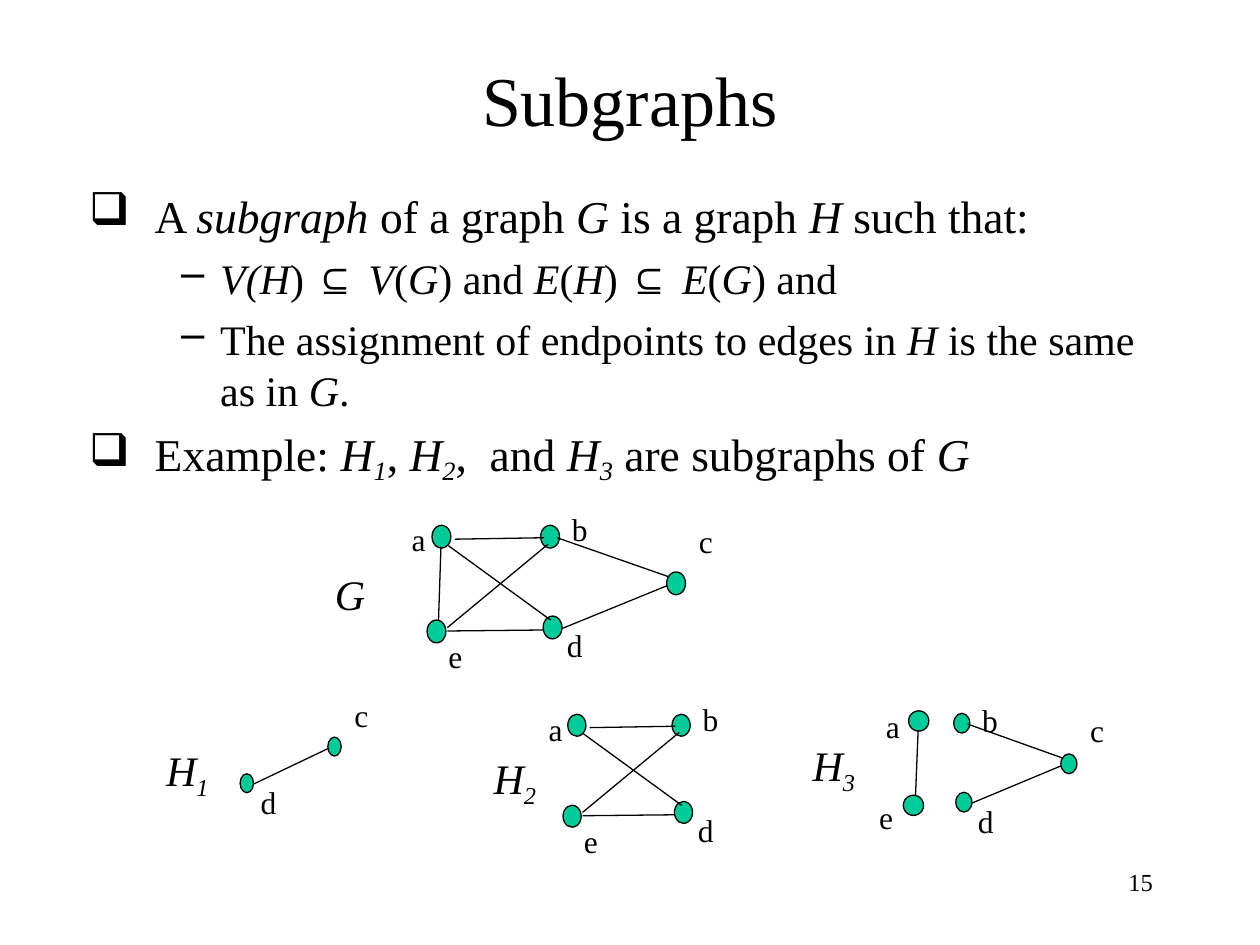
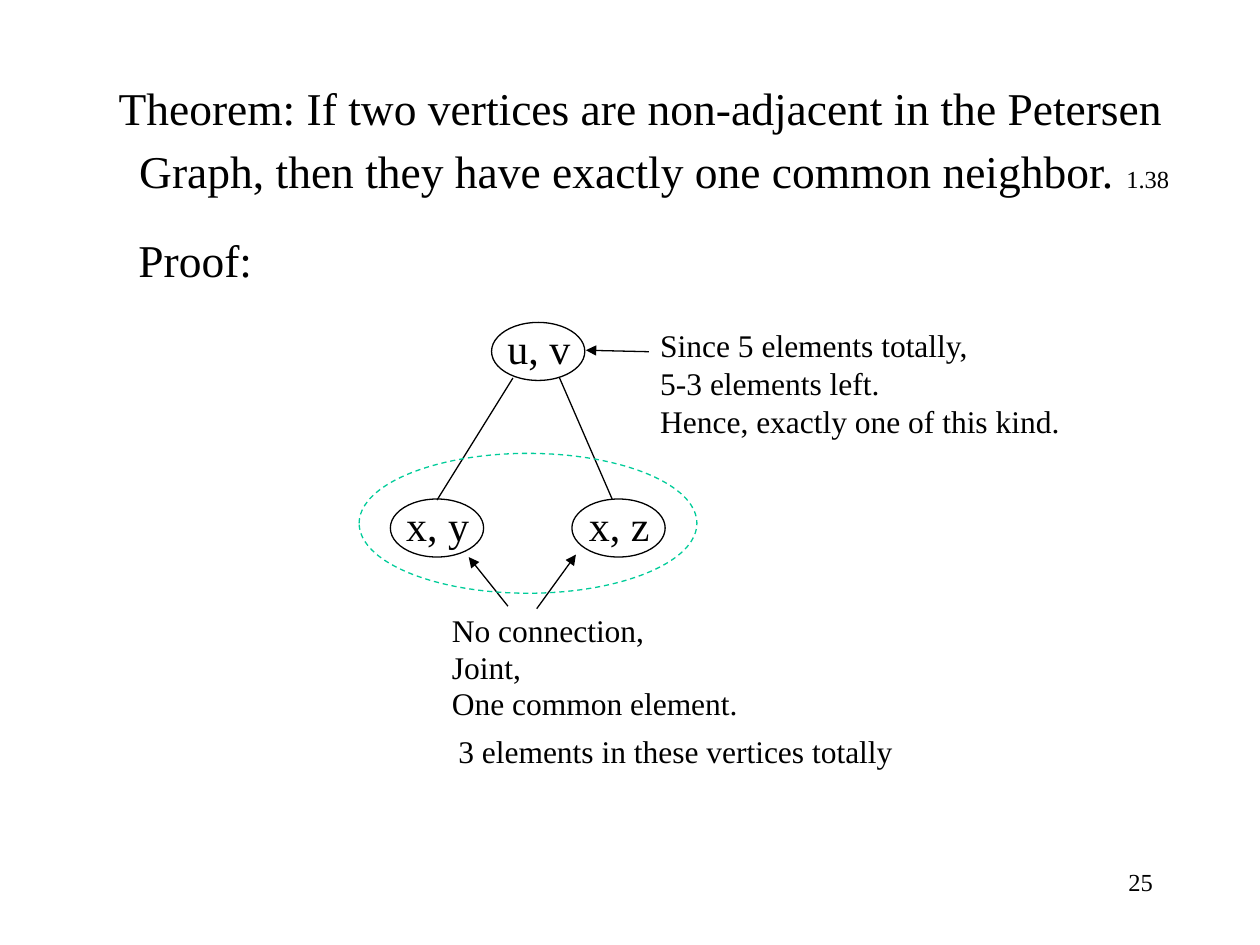
from lxml.etree import SubElement
from pptx import Presentation
from pptx.dml.color import RGBColor
from pptx.enum.dml import MSO_LINE
from pptx.enum.shapes import MSO_CONNECTOR, MSO_SHAPE
from pptx.enum.text import MSO_ANCHOR, PP_ALIGN
from pptx.oxml.ns import qn
from pptx.util import Cm, Pt

FONT, SYMBOL_FONT = "Times New Roman", "Arial"
BLACK, GREEN = "000000", "00CC99"

# Slide 1 text: *...* is italic, an italic digit is a subscript
DEFINITION = [
    (0, "A *subgraph* of a graph *G* is a graph *H* such that:"),
    (1, "*V(H*) **⊆ *V*(*G*) and *E*(*H*) **⊆ *E*(*G*) and"),
    (1, "The assignment of endpoints to edges in *H* is the same as in *G*."),
    (0, "Example: *H**1*, *H**2*,  and *H**3* are subgraphs of *G*"),
]
# Per level: bullet, left margin and hanging indent (cm), size, space before (pt)
LEVELS = [("❑", 1.32, 1.32, 26, 6.5), ("–", 2.64, 0.79, 24, 6)]

# Graph G in cm from its own corner; every subgraph is a scaled part of it
NODE_SIZE = (0.38, 0.46)
NODES = {"a": (0.1, 0), "b": (2.29, 0), "c": (4.83, 0.94),
         "d": (2.34, 1.83), "e": (0, 1.91)}
LABELS = {"a": (-0.56, -0.23), "b": (2.67, -0.43), "c": (5.23, -0.2),
          "d": (2.57, 1.91), "e": (0.18, 2.13)}
EDGES = {
    "ae": ((0.28, 0.43), (0.23, 1.91)),
    "ed": ((0.41, 2.13), (2.34, 2.11)),
    "dc": ((2.72, 2.08), (4.83, 1.22)),
    "bc": ((2.62, 0.25), (4.88, 1.04)),
    "ab": ((0.56, 0.28), (2.36, 0.25)),
    "eb": ((0.41, 2.06), (2.44, 0.38)),
    "ad": ((0.43, 0.41), (2.49, 1.91)),
}
# Nodes, edges, corner, scale, labels that move
GRAPHS = [
    ("cd", ["dc"], (3.18, 14.08), (0.71, 0.83), {}),
    ("abde", ["ab", "eb", "ad", "ed"], (11.35, 14.4), (0.96, 0.96), {}),
    ("abcde", list(EDGES), (8.61, 10.59), (1, 1), {}),
    ("ae", ["ae"], (18.21, 14.33), (1.07, 0.89), {"e": (-0.69, 1.83)}),
    ("bcd", ["dc", "bc"], (17.28, 14.38), (0.85, 0.87), {}),
]
GRAPH_NAMES = [("*H**1*", 3.1, 14.88), ("*G*", 6.5, 11.33),
               ("*H**3*", 16.13, 14.78), ("*H**2*", 9.7, 15.04)]

# Slide 2
THEOREM = [("Theorem: If two vertices are non-adjacent in the Petersen Graph, "
            "then they have exactly one common neighbor. ", 26),
           ("1.38", 14), (" ", 40)]
VERTEX_SIZE = (1.88, 1.17)
VERTICES = [("x, z", 11.53, 10.06), ("x, y", 7.87, 10.06), ("u, v", 9.91, 6.5)]
LINKS = [((10.34, 7.62), (8.81, 10.08)), ((11.28, 7.62), (12.34, 10.06))]
POINTERS = [((10.24, 12.22), (9.45, 11.23)), ((10.82, 12.27), (11.61, 11.18)),
            ((13.08, 7.09), (11.81, 7.06))]
# Lines, place, line spacing, space before
NOTES = [
    (["No connection,", "Joint,", "One common element."],
     (8.86, 12.32, 7.24, 2.36), 0.85, 2.2),
    (["Since 5 elements totally,", "5-3 elements left.",
      "Hence, exactly one of this kind."], (13.06, 6.45, 8.74, 2.54), 1.0, 0),
    (["3 elements in these vertices totally"], (8.99, 14.63, 10.41, 1.02), 1.0, 0),
]


def color(hex_text):
    return RGBColor.from_string(hex_text)


def style(span, size, italic=False, font=FONT):
    span.font.size = Pt(size)
    span.font.name = font
    span.font.italic = italic
    span.font.color.rgb = color(BLACK)


def add_box(shapes, left, top, width, height, anchor=MSO_ANCHOR.TOP):
    box = shapes.add_textbox(Cm(left), Cm(top), Cm(width), Cm(height))
    box.text_frame.word_wrap = True
    box.text_frame.vertical_anchor = anchor
    return box.text_frame


def add_text(shapes, text, place, size, align=PP_ALIGN.LEFT, anchor=MSO_ANCHOR.TOP):
    frame = add_box(shapes, *place, anchor=anchor)
    frame.text = text
    for para in frame.paragraphs:
        para.alignment = align
        style(para.runs[0], size)
    return frame


def add_marked_text(para, text, size, drop):
    for index, piece in enumerate(text.split("*")):
        if not piece:
            continue
        italic = index % 2 == 1
        span = para.add_run()
        span.text = piece
        style(span, size, italic, SYMBOL_FONT if piece.startswith("⊆") else FONT)
        if italic and piece.isdigit():
            span.font._element.set("baseline", str(-drop * 1000))


def set_indent(para, margin, hanging, bullet=None):
    properties = para._p.get_or_add_pPr()
    properties.set("marL", str(Cm(margin)))
    properties.set("indent", str(-Cm(hanging)))
    if bullet:
        paint = SubElement(properties, qn("a:buClr"))
        SubElement(paint, qn("a:srgbClr")).set("val", BLACK)
        SubElement(properties, qn("a:buChar")).set("char", bullet)


def add_oval(shapes, left, top, width, height, fill=None, line=BLACK):
    oval = shapes.add_shape(MSO_SHAPE.OVAL, Cm(left), Cm(top), Cm(width), Cm(height))
    oval.shadow.inherit = False
    if fill:
        oval.fill.solid()
        oval.fill.fore_color.rgb = color(fill)
    else:
        oval.fill.background()
    oval.line.color.rgb = color(line)
    oval.line.width = Pt(0.75)
    return oval


def add_line(shapes, start, end, arrow=False):
    line = shapes.add_connector(MSO_CONNECTOR.STRAIGHT,
                                *(Cm(value) for value in (*start, *end)))
    line.line.color.rgb = color(BLACK)
    line.line.width = Pt(0.75)
    if arrow:
        SubElement(line.line._get_or_add_ln(), qn("a:tailEnd")).set("type", "triangle")
    SubElement(line._element.spPr, qn("a:effectLst"))


def add_graph(page, nodes, edges, corner, scale, moved_labels):
    def place(point):
        return [c + p * s for c, p, s in zip(corner, point, scale)]

    shapes = page.shapes.add_group_shape().shapes
    size = [length * s for length, s in zip(NODE_SIZE, scale)]
    for node in nodes:
        add_oval(shapes, *place(NODES[node]), *size, fill=GREEN)
    for edge in edges:
        start, end = EDGES[edge]
        add_line(shapes, place(start), place(end))
    for node in nodes:
        spot = place(moved_labels.get(node, LABELS[node]))
        add_text(shapes, node, (*spot, 1.02, 1.02), 18)


def add_page(deck, number):
    page = deck.slides.add_slide(deck.slide_layouts[6])
    add_text(page.shapes, str(number), (18.21, 17.35, 5.28, 1.27), 14, PP_ALIGN.RIGHT)
    return page


def build_subgraphs(deck):
    page = add_page(deck, 15)
    add_text(page.shapes, "Subgraphs", (1.9, 0.46, 21.59, 3.07), 40,
             PP_ALIGN.CENTER, MSO_ANCHOR.MIDDLE)

    # Definition with two levels of bullets
    frame = add_box(page.shapes, 1.55, 3.66, 21.59, 13.94)
    for index, (level, text) in enumerate(DEFINITION):
        bullet, margin, hanging, size, before = LEVELS[level]
        para = frame.add_paragraph() if index else frame.paragraphs[0]
        para.level = level
        set_indent(para, margin, hanging, bullet)
        if index:
            para.space_before = Pt(before)
        add_marked_text(para, text, size, 20)

    # G, its subgraphs and their names
    for graph in GRAPHS:
        add_graph(page, *graph)
    for name, left, top in GRAPH_NAMES:
        frame = add_box(page.shapes, left, top, 2.57, 1.42)
        add_marked_text(frame.paragraphs[0], name, 24, 25)


def build_theorem(deck):
    page = add_page(deck, 25)
    shapes = page.shapes

    # Theorem and proof heading
    frame = add_box(shapes, 1.9, 1.35, 22.05, 3.2, MSO_ANCHOR.MIDDLE)
    para = frame.paragraphs[0]
    para.alignment = PP_ALIGN.CENTER
    para.line_spacing = 0.8
    set_indent(para, 0.53, 0.53)
    for text, size in THEOREM:
        span = para.add_run()
        span.text = text
        style(span, size)
    add_text(shapes, "Proof:", (2.54, 4.55, 20.96, 1.93), 26)

    # Vertices, edges and arrows
    width, height = VERTEX_SIZE
    for name, left, top in VERTICES:
        add_text(shapes, name, (left, top - 0.12, width + 0.03, 1.27), 24,
                 PP_ALIGN.CENTER)
        add_oval(shapes, left, top, width, height)
    for start, end in LINKS:
        add_line(shapes, start, end)
    for start, end in POINTERS:
        add_line(shapes, start, end, arrow=True)
    pair_outline = add_oval(shapes, 7.24, 9.14, 6.81, 2.82, line=GREEN)
    pair_outline.line.dash_style = MSO_LINE.DASH

    # Notes
    for lines, place, spacing, before in NOTES:
        frame = add_text(shapes, "\n".join(lines), place, 18)
        for index, para in enumerate(frame.paragraphs):
            para.line_spacing = spacing
            if index:
                para.space_before = Pt(before)


def main():
    deck = Presentation()
    deck.slide_width, deck.slide_height = Cm(25.4), Cm(19.05)
    build_subgraphs(deck)
    build_theorem(deck)
    deck.save("out.pptx")


if __name__ == "__main__":
    main()
